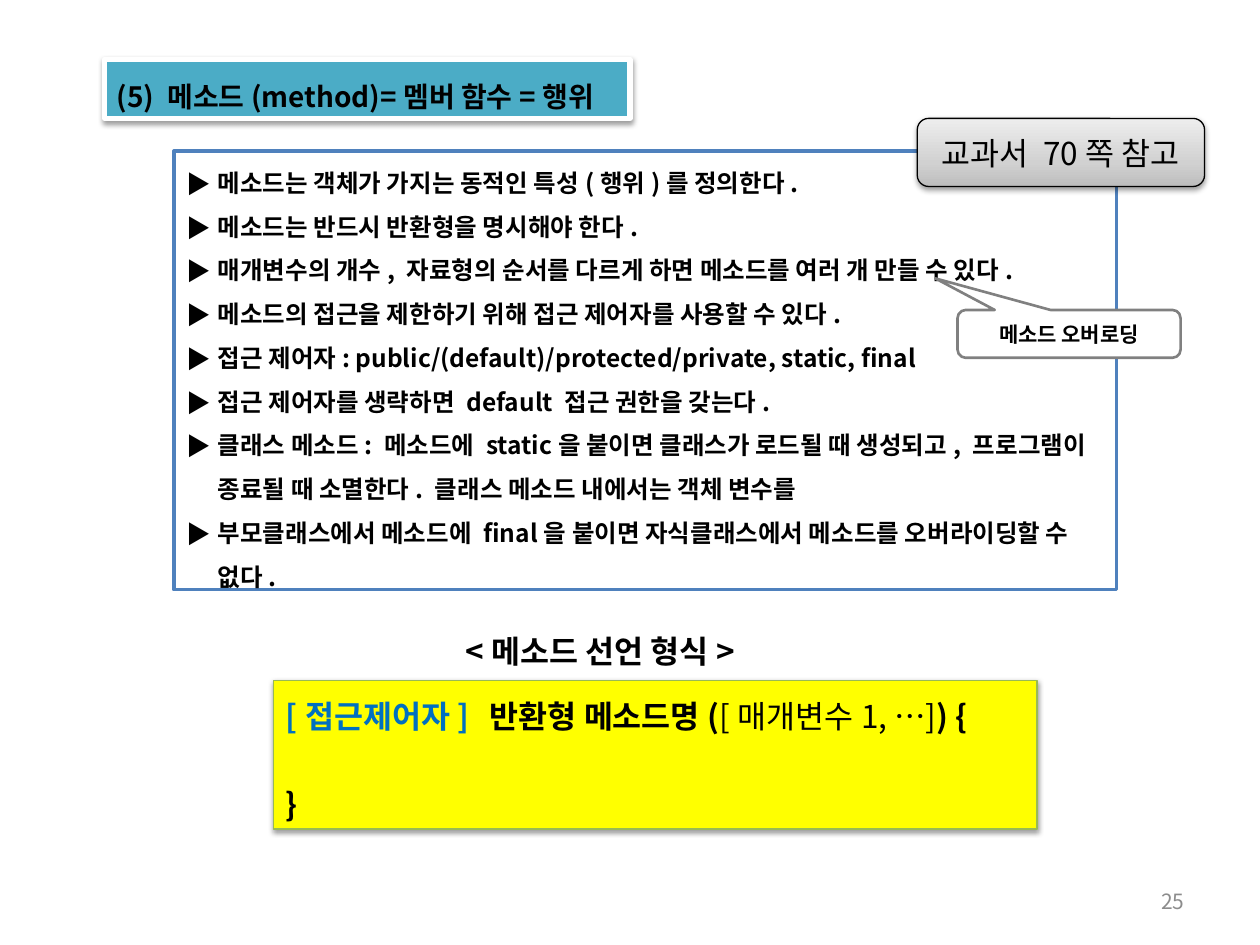
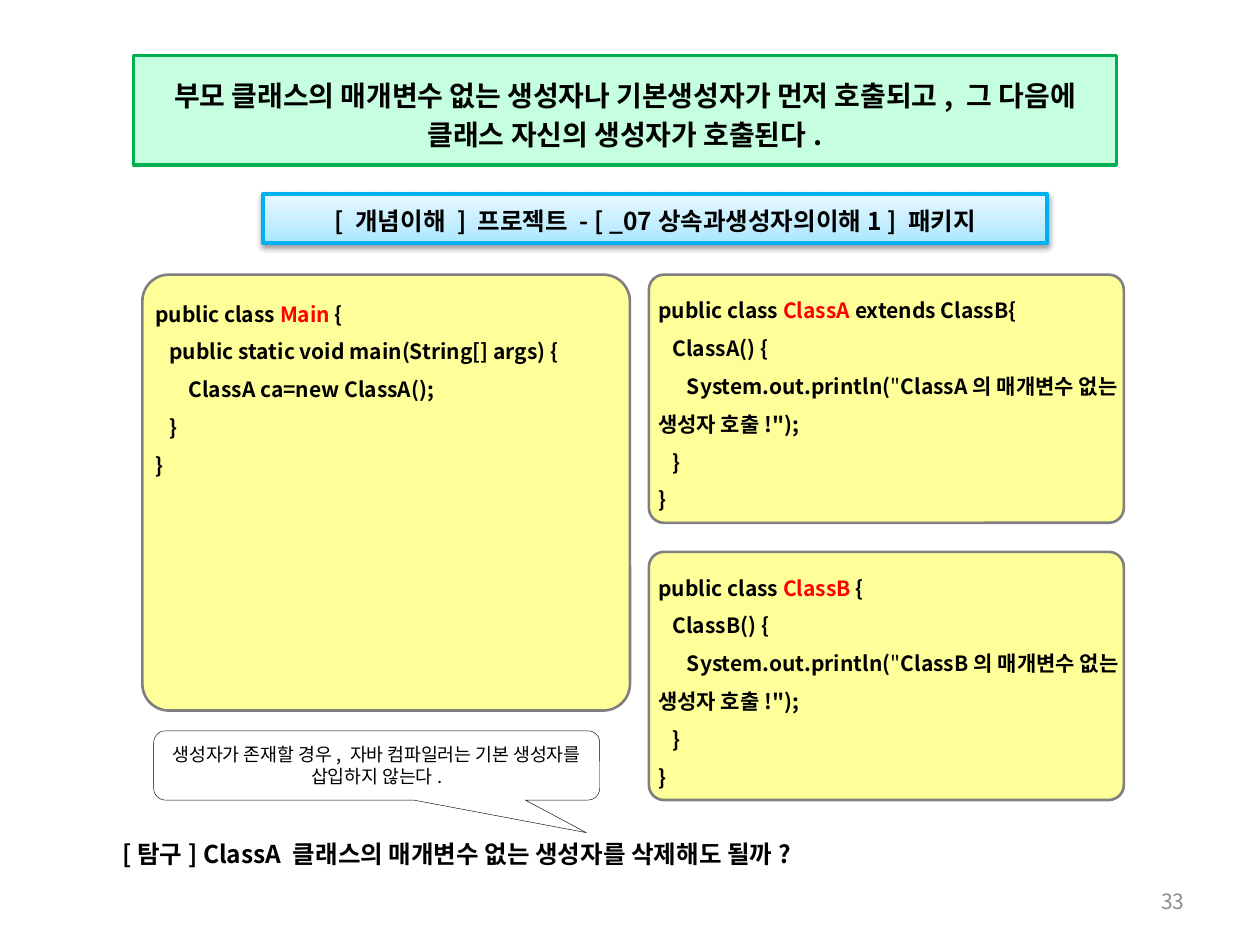
"""Two lecture slides on Java methods and on the order of constructor calls."""
from copy import deepcopy
from dataclasses import dataclass
from typing import Optional, Union

from lxml import etree
from pptx import Presentation
from pptx import util as u
from pptx.dml import color as dml
from pptx.enum import shapes, text
from pptx.oxml import ns

Inches = u.Inches
PROCESS = shapes.MSO_SHAPE.FLOWCHART_PROCESS
ROUNDED = shapes.MSO_SHAPE.ROUNDED_RECTANGLE
CALLOUT = shapes.MSO_SHAPE.ROUNDED_RECTANGULAR_CALLOUT
LEFT, CENTER, RIGHT = text.PP_ALIGN.LEFT, text.PP_ALIGN.CENTER, text.PP_ALIGN.RIGHT
TOP, MIDDLE = text.MSO_ANCHOR.TOP, text.MSO_ANCHOR.MIDDLE


@dataclass(frozen=True)
class Theme:
    font: str = "Noto Sans CJK KR"
    black: str = "000000"
    white: str = "FFFFFF"
    gray: str = "808080"
    number_gray: str = "8C8C8C"
    red: str = "FF0000"
    syntax_blue: str = "0070C0"
    frame_blue: str = "4F81BD"
    title_teal: str = "4BACC6"
    syntax_yellow: str = "FFFF00"
    syntax_edge: str = "98B955"
    code_yellow: str = "FFFF99"
    rule_mint: str = "C5FFDF"
    rule_green: str = "00B050"
    project_blue: str = "00B0F0"
    gray_blend: tuple = ((0, "BDBDBD"), (0.35, "D1D1D1"), (1, "EEEEEE"))
    blue_blend: tuple = ((0, "A7E6FF"), (0.35, "C1EDFF"), (1, "E7F8FF"))
    large: float = 18
    title: float = 16
    body: float = 14
    small: float = 12
    note: float = 10.5


THEME = Theme()
Insets = tuple[float, float, float, float]
PANEL_INSETS: Insets = (0.1, 0.08, 0.1, 0.05)
PLAIN_INSETS: Insets = (0.1, 0.05, 0.1, 0.05)
CODE_INSETS: Insets = (0.04, 0.05, 0, 0.05)
FIXED_LEADING = u.Pt(25)
BULLET_INDENT = Inches(0.25)


@dataclass(frozen=True)
class Span:
    text: str
    color: str = THEME.black
    bold: bool = True


@dataclass(frozen=True)
class Para:
    spans: tuple[Span, ...]
    bullet: str = ""
    tab: float = 0
    before: float = 0


@dataclass(frozen=True)
class Box:
    at: tuple[float, float, float, float]
    paras: tuple[Para, ...]
    size: float
    kind: Optional[shapes.MSO_SHAPE] = PROCESS
    fill: Union[str, tuple, None] = None
    line: Optional[tuple[str, float]] = None
    shadow: bool = False
    adjustments: tuple[float, ...] = ()
    align: text.PP_ALIGN = LEFT
    anchor: text.MSO_ANCHOR = MIDDLE
    insets: Insets = PANEL_INSETS
    leading: Union[float, u.Length] = 1.0


def line_of(words: str, color: str = THEME.black, bold: bool = True) -> Para:
    """Make a paragraph of one span."""
    return Para((Span(words, color, bold),))


def add_xml(parent, tag: str, **attributes: str):
    """Append a drawing element and return it."""
    return etree.SubElement(parent, ns.qn(tag), attributes)


def paint(shape, fill: Union[str, tuple, None]) -> None:
    """Give a shape no fill, a solid fill or a vertical gradient."""
    if fill is None:
        shape.fill.background()
    elif isinstance(fill, str):
        shape.fill.solid()
        shape.fill.fore_color.rgb = dml.RGBColor.from_string(fill)
    else:
        shape.fill.gradient()
        shape.fill.gradient_angle = 90
        stop_list = shape.element.spPr.find(ns.qn("a:gradFill")).find(ns.qn("a:gsLst"))
        stop_list.append(deepcopy(stop_list[-1]))
        for stop, (position, tint) in zip(shape.fill.gradient_stops, fill):
            stop.color.rgb = dml.RGBColor.from_string(tint)
            stop.position = position


def outline(shape, line: Optional[tuple[str, float]]) -> None:
    """Draw or hide the outline of a shape."""
    if line is None:
        shape.line.fill.background()
    else:
        tint, width = line
        shape.line.color.rgb = dml.RGBColor.from_string(tint)
        shape.line.width = u.Pt(width)


def cast_shadow(shape) -> None:
    """Add the soft shadow below a shape."""
    effects = shape.element.spPr.find(ns.qn("a:effectLst"))
    shadow = add_xml(effects, "a:outerShdw", blurRad="40000", dist="20000",
                     dir="5400000", rotWithShape="0")
    tint = add_xml(shadow, "a:srgbClr", val=THEME.black)
    add_xml(tint, "a:alpha", val="38000")


def write_para(para, content: Para, box: Box) -> None:
    """Fill a paragraph with its spans, bullet and tab stop."""
    formats = {"alignment": box.align, "line_spacing": box.leading,
               "space_before": u.Pt(content.before)}
    for name, value in formats.items():
        setattr(para, name, value)
    properties = para._p.get_or_add_pPr()
    if content.bullet:
        properties.set("marL", str(BULLET_INDENT))
        properties.set("indent", str(-BULLET_INDENT))
        add_xml(properties, "a:buFont", typeface=THEME.font)
        add_xml(properties, "a:buChar", char=content.bullet)
    if content.tab:
        tabs = add_xml(properties, "a:tabLst")
        add_xml(tabs, "a:tab", pos=str(Inches(content.tab)), algn="l")
    for span in content.spans:
        run = para.add_run()
        run.text = span.text
        for name, value in {"name": THEME.font, "size": u.Pt(box.size),
                            "bold": span.bold}.items():
            setattr(run.font, name, value)
        run.font.color.rgb = dml.RGBColor.from_string(span.color)
        add_xml(run.font._element, "a:ea", typeface=THEME.font)


def draw(page, box: Box) -> None:
    """Place a box with its text on a page."""
    place = [Inches(length) for length in box.at]
    if box.kind is None:
        shape = page.shapes.add_textbox(*place)
    else:
        shape = page.shapes.add_shape(box.kind, *place)
        paint(shape, box.fill)
        outline(shape, box.line)
        shape.shadow.inherit = False
        if box.shadow:
            cast_shadow(shape)
        for index, value in enumerate(box.adjustments):
            shape.adjustments[index] = value
    frame = shape.text_frame
    sides = ("margin_left", "margin_top", "margin_right", "margin_bottom")
    formats = {"word_wrap": True, "vertical_anchor": box.anchor,
               **{side: Inches(inset) for side, inset in zip(sides, box.insets)}}
    for name, value in formats.items():
        setattr(frame, name, value)
    for index, content in enumerate(box.paras):
        para = frame.add_paragraph() if index else frame.paragraphs[0]
        write_para(para, content, box)


def page_number(number: int) -> Box:
    """Describe the page number at the lower right."""
    return Box((7.17, 6.95, 2.33, 0.4),
               (line_of(str(number), THEME.number_gray, False),),
               THEME.small, None, align=RIGHT, insets=PLAIN_INSETS)


def code_box(at: tuple[float, float, float, float], name: str, tail: str,
             lines: tuple[Para, ...]) -> Box:
    """Describe a yellow panel that holds one Java class."""
    head = Para((Span("public class "), Span(name, THEME.red), Span(tail)))
    closing = (line_of("   }"), line_of("}"))
    return Box(at, (head, *lines, *closing), THEME.small, ROUNDED,
               THEME.code_yellow, (THEME.gray, 1.5), adjustments=(0.061,),
               anchor=TOP, insets=CODE_INSETS, leading=1.5)


def constructor_box(row: int, name: str, tail: str) -> Box:
    """Describe the panel of a class whose constructor prints a message."""
    message = Para((Span("      System.out.println("), Span('"', bold=False),
                    Span(f'{name}의 매개변수 없는 생성자 호출!");')))
    return code_box((5.15, 2.18 + 2.2 * row, 3.77, 1.97), name, tail,
                    (line_of(f"   {name}() {{"), message))


METHOD_FACTS = (
    "메소드는 객체가 가지는 동적인 특성(행위)를 정의한다.",
    "메소드는 반드시 반환형을 명시해야 한다.",
    "매개변수의 개수, 자료형의 순서를 다르게 하면 메소드를 여러 개 만들 수 있다.",
    "메소드의 접근을 제한하기 위해 접근 제어자를 사용할 수 있다.",
    "접근 제어자: public/(default)/protected/private, static, final",
    "접근 제어자를 생략하면 default 접근 권한을 갖는다.",
    "클래스 메소드: 메소드에 static을 붙이면 클래스가 로드될 때 생성되고, 프로그램이 "
    "종료될 때 소멸한다. 클래스 메소드 내에서는 객체 변수를",
    "부모클래스에서 메소드에 final을 붙이면 자식클래스에서 메소드를 오버라이딩할 수 없다.",
)

METHOD_SYNTAX = (
    Para((Span("[접근제어자]\t", THEME.syntax_blue), Span("반환형 메소드명("),
          Span("[매개변수1, …]", bold=False), Span(") {")), tab=1.62),
    Para((Span("}"),), before=25),
)

METHOD_PAGE = (
    page_number(25),
    Box((0.83, 0.47, 4.17, 0.47), (line_of("(5) 메소드(method)=멤버 함수=행위"),),
        THEME.title, fill=THEME.title_teal, line=(THEME.white, 3), shadow=True,
        leading=FIXED_LEADING),
    Box((2.17, 5.4, 6.06, 1.18), METHOD_SYNTAX, THEME.large,
        fill=THEME.syntax_yellow, line=(THEME.syntax_edge, 0.75), shadow=True,
        leading=FIXED_LEADING),
    Box((1.38, 1.2, 7.48, 3.48),
        tuple(Para((Span(fact),), bullet="▶") for fact in METHOD_FACTS),
        THEME.body, fill=THEME.white, line=(THEME.frame_blue, 2),
        leading=FIXED_LEADING),
    Box((7.28, 0.94, 2.28, 0.54), (line_of("교과서 70쪽 참고", bold=False),),
        THEME.large, ROUNDED, THEME.gray_blend, (THEME.black, 0.75), shadow=True,
        align=CENTER, insets=PLAIN_INSETS),
    Box((3.03, 4.93, 3.47, 0.39), (line_of("<메소드 선언 형식>"),), THEME.large,
        align=CENTER, leading=FIXED_LEADING),
    Box((7.6, 2.46, 1.77, 0.38), (line_of("메소드 오버로딩"),), THEME.small, CALLOUT,
        THEME.white, (THEME.gray, 1.5), adjustments=(-0.6, -1.16, 0.17),
        align=CENTER, insets=PLAIN_INSETS),
)

CONSTRUCTOR_PAGE = (
    page_number(33),
    Box((1.06, 0.44, 7.8, 0.87),
        (line_of("부모 클래스의 매개변수 없는 생성자나 기본생성자가 먼저 호출되고, "
                 "그 다음에 클래스 자신의 생성자가 호출된다."),),
        THEME.title, fill=THEME.rule_mint, line=(THEME.rule_green, 2),
        align=CENTER, leading=u.Pt(22)),
    code_box((1.13, 2.18, 3.87, 3.46), "Main", " {",
             (line_of("   public static void main(String[] args) {"),
              line_of("       ClassA ca=new ClassA();"))),
    constructor_box(0, "ClassA", " extends ClassB{"),
    constructor_box(1, "ClassB", " {"),
    Box((2.09, 1.54, 6.22, 0.39),
        (line_of("[ 개념이해 ] 프로젝트 - [ _07상속과생성자의이해1 ] 패키지"),),
        THEME.body, fill=THEME.blue_blend, line=(THEME.project_blue, 2.25),
        shadow=True, align=CENTER),
    Box((0.87, 6.51, 8.31, 0.39),
        (line_of("[탐구] ClassA 클래스의 매개변수 없는 생성자를 삭제해도 될까?"),),
        THEME.body, leading=1.5),
    Box((1.22, 5.8, 3.54, 0.55),
        (line_of("생성자가 존재할 경우, 자바 컴파일러는 기본 생성자를 "
                 "삽입하지 않는다.", bold=False),),
        THEME.note, CALLOUT, line=(THEME.black, 0.25),
        adjustments=(0.47, 0.97, 0.17), align=CENTER, insets=PLAIN_INSETS),
)


def main() -> None:
    """Build and save the deck."""
    deck = Presentation()
    deck.slide_width, deck.slide_height = Inches(10), Inches(7.5)
    for boxes in (METHOD_PAGE, CONSTRUCTOR_PAGE):
        page = deck.slides.add_slide(deck.slide_layouts[6])
        for box in boxes:
            draw(page, box)
    deck.save("out.pptx")


if __name__ == "__main__":
    main()
